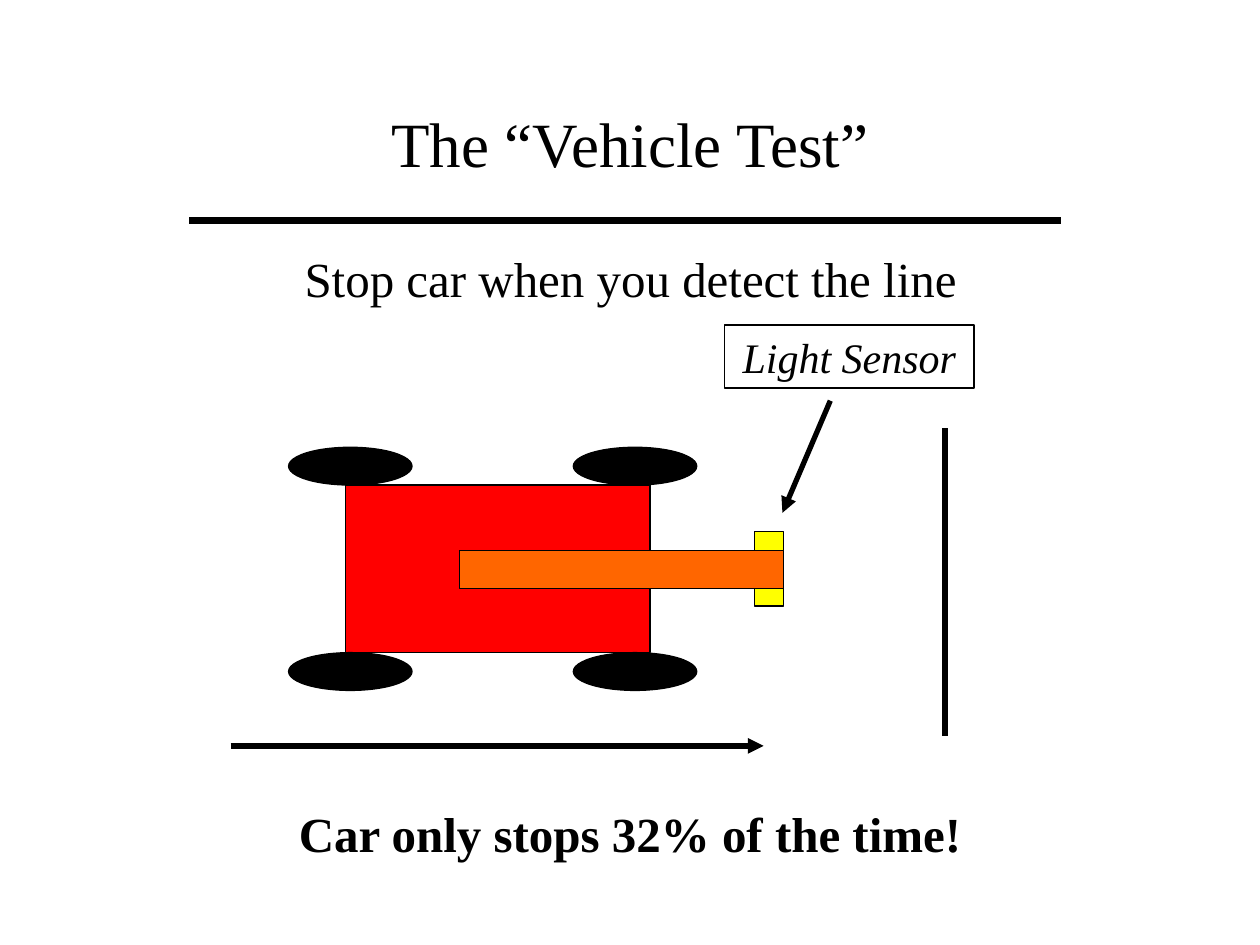
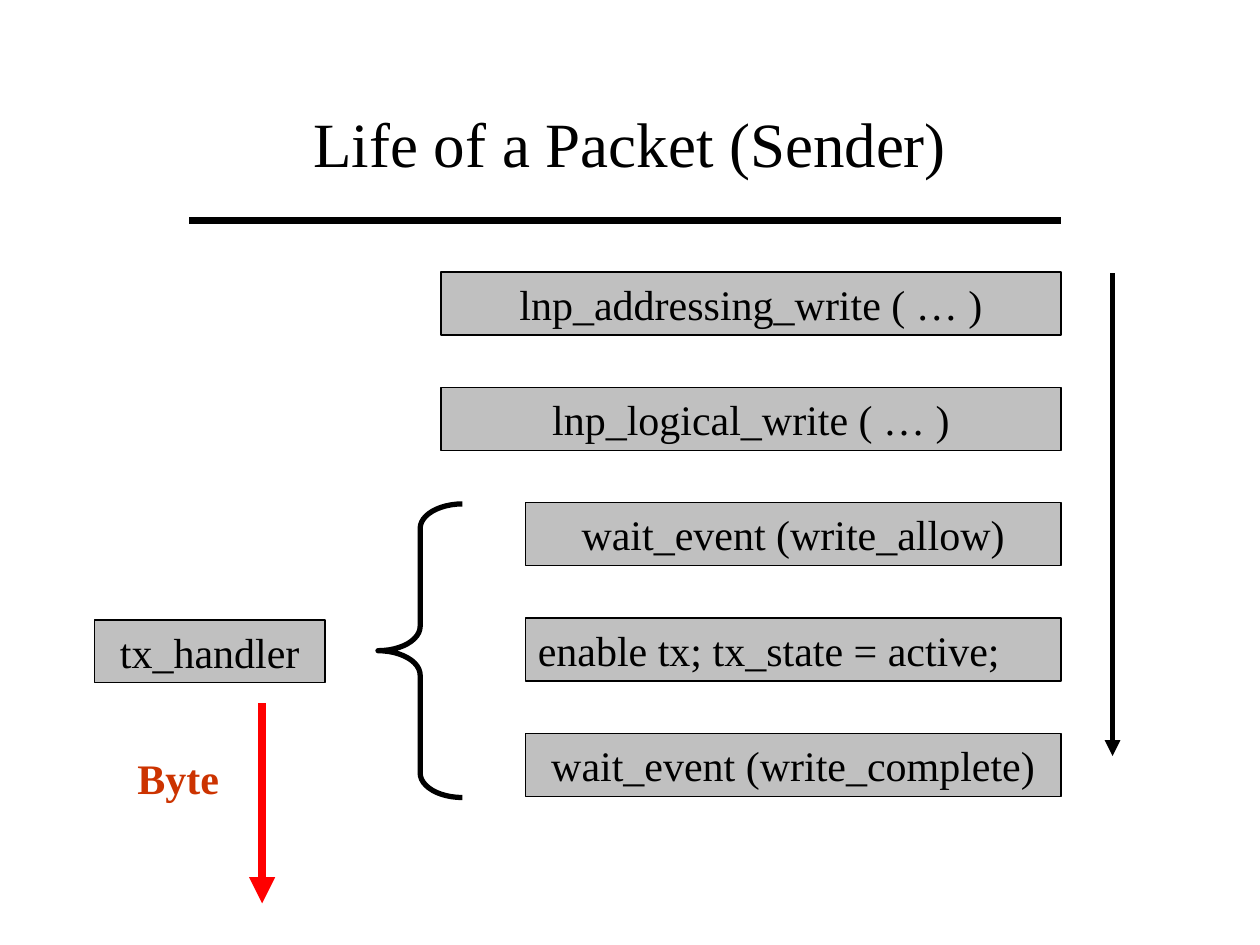
from dataclasses import dataclass

from lxml.etree import SubElement
from pptx import Presentation
from pptx.dml.color import RGBColor
from pptx.enum.shapes import MSO_CONNECTOR as Connector, MSO_SHAPE as Shape
from pptx.enum.text import MSO_ANCHOR as Anchor, PP_ALIGN as Align
from pptx.oxml.ns import qn
from pptx.util import Inches, Pt


@dataclass(frozen=True)
class Theme:
    font: str = "Times New Roman"
    title_size: int = 36
    statement_size: int = 28
    label_size: int = 24
    outline: float = 0.75
    black: str = "000000"
    red: str = "FF0000"
    orange: str = "FF6600"
    yellow: str = "FFFF00"
    gray: str = "C0C0C0"
    rust: str = "CC3300"


theme = Theme()


def add_box(page, frame, text="", kind=None, fill=None, size=theme.label_size,
            color=theme.black, bold=False, italic=False, align=Align.CENTER):
    """Add a text box, or an outlined preset shape when a kind is given."""
    lengths = [Inches(value) for value in frame]
    if kind is None:
        box = page.shapes.add_textbox(*lengths)
    else:
        box = page.shapes.add_shape(kind, *lengths)
        box.shadow.inherit = False
        box.line.color.rgb = RGBColor.from_string(theme.black)
        box.line.width = Pt(theme.outline)
        if fill:
            box.fill.solid()
            box.fill.fore_color.rgb = RGBColor.from_string(fill)
        else:
            box.fill.background()
    if text:
        box.text_frame.text = text
        box.text_frame.word_wrap = True
        box.text_frame.vertical_anchor = Anchor.TOP
        para = box.text_frame.paragraphs[0]
        para.alignment = align
        font = para.runs[0].font
        font.name, font.size = theme.font, Pt(size)
        font.bold, font.italic = bold, italic
        font.color.rgb = RGBColor.from_string(color)
    return box


def add_line(page, start, end, width, color=theme.black, arrow=False):
    """Add a straight line, with an arrowhead at its end if asked."""
    points = [Inches(value) for value in (*start, *end)]
    line = page.shapes.add_connector(Connector.STRAIGHT, *points)
    line.line.color.rgb = RGBColor.from_string(color)
    line.line.width = Pt(width)
    if arrow:
        SubElement(line.line._get_or_add_ln(), qn("a:tailEnd"), type="triangle")
    SubElement(line._element.spPr, qn("a:effectLst"))


deck = Presentation()
deck.slide_width, deck.slide_height = Inches(10), Inches(7.5)

# Title and rule on every slide
pages = []
for title in ("The “Vehicle Test”", "Life of a Packet (Sender)"):
    page = deck.slides.add_slide(deck.slide_layouts[6])
    heading = add_box(page, (0.75, 0.67, 8.5, 0.92), title, size=theme.title_size)
    heading.text_frame.vertical_anchor = Anchor.MIDDLE
    add_line(page, (1.5, 1.75), (8.42, 1.75), 3.5)
    pages.append(page)
vehicle_page, packet_page = pages

# Vehicle test: task
add_box(vehicle_page, (0.92, 1.92, 8.17, 0.57),
        "Stop car when you detect the line", size=theme.statement_size)

# Vehicle test: sensor, body, wheels and sensor arm, from back to front
add_box(vehicle_page, (5.99, 4.22, 0.23, 0.59), kind=Shape.RECTANGLE, fill=theme.yellow)
add_box(vehicle_page, (2.74, 3.85, 2.42, 1.33), kind=Shape.RECTANGLE, fill=theme.red)
for wheel_top in (5.18, 3.55):
    for wheel_left in (4.55, 2.29):
        add_box(vehicle_page, (wheel_left, wheel_top, 0.98, 0.3),
                kind=Shape.OVAL, fill=theme.black)
add_box(vehicle_page, (3.65, 4.37, 2.57, 0.3), kind=Shape.RECTANGLE, fill=theme.orange)

# Vehicle test: line to detect, driving direction and sensor label
add_line(vehicle_page, (7.5, 3.4), (7.5, 5.84), 4)
add_line(vehicle_page, (1.83, 5.92), (6.06, 5.92), 3, arrow=True)
add_box(vehicle_page, (5.75, 2.58, 1.98, 0.5), "Light Sensor",
        kind=Shape.RECTANGLE, italic=True)
add_line(vehicle_page, (6.59, 3.18), (6.21, 4.07), 3, arrow=True)

# Vehicle test: result
add_box(vehicle_page, (1, 6.33, 8, 0.57), "Car only stops 32% of the time!",
        size=theme.statement_size, bold=True)

# Packet: call sequence, all boxes ending under the end of the title rule
calls = (
    (3.5, "lnp_addressing_write ( … )", Align.CENTER),
    (3.5, "lnp_logical_write ( … )", Align.CENTER),
    (4.17, "wait_event (write_allow)", Align.CENTER),
    (4.17, "enable tx; tx_state = active;", Align.LEFT),
    (4.17, "wait_event (write_complete)", Align.CENTER),
)
for row, (left, call, align) in enumerate(calls):
    add_box(packet_page, (left, 2.16 + 0.915 * row, 8.42 - left, 0.5), call,
            kind=Shape.RECTANGLE, fill=theme.gray, align=align)

# Packet: handler, brace and outgoing byte
add_box(packet_page, (0.75, 4.92, 1.83, 0.5), "tx_handler",
        kind=Shape.RECTANGLE, fill=theme.gray)
brace = add_box(packet_page, (3, 4, 0.67, 2.33), kind=Shape.LEFT_BRACE)
brace.adjustments[0] = 0.29
brace.line.width = Pt(3)
add_line(packet_page, (2.08, 5.58), (2.08, 7.17), 5, theme.red, arrow=True)
add_box(packet_page, (0.83, 5.92, 1.17, 0.5), "Byte", color=theme.rust, bold=True)

# Packet: time arrow
add_line(packet_page, (8.83, 2.17), (8.83, 6), 3, arrow=True)

deck.save("out.pptx")
